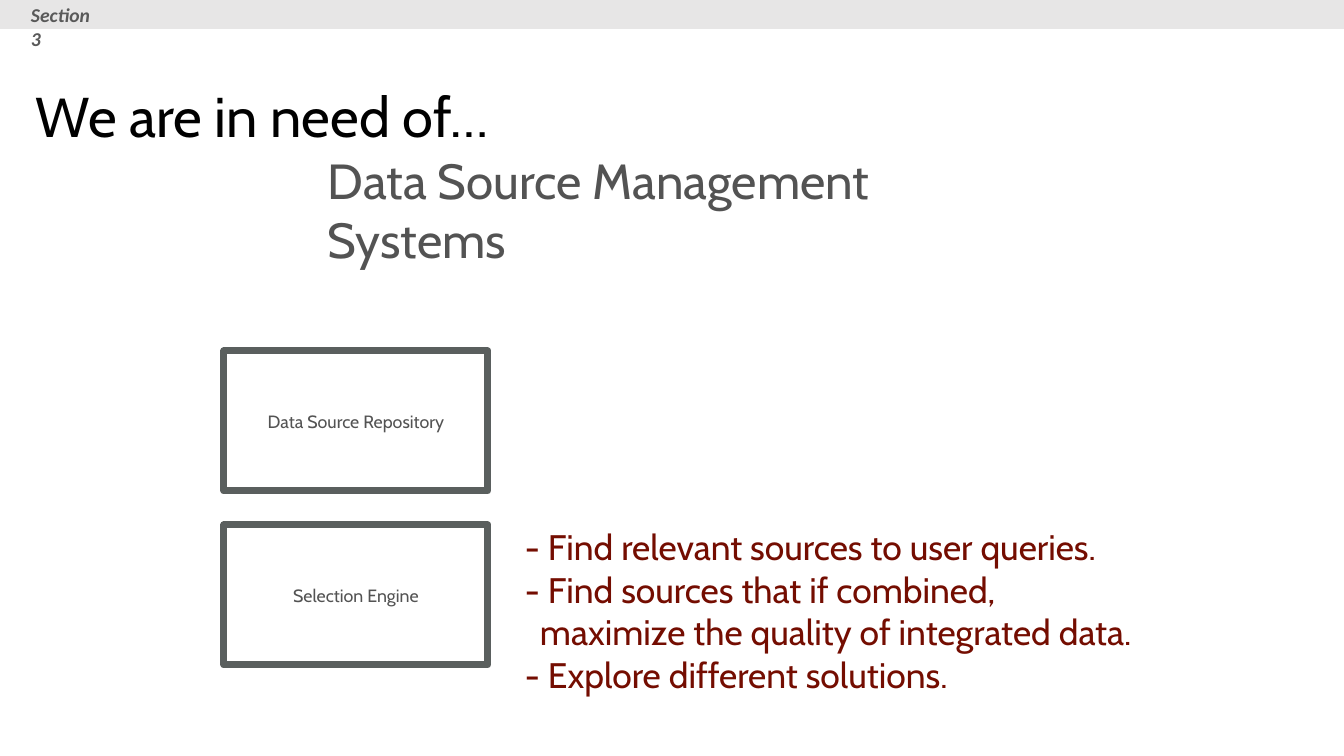
"""Build the slide on data source management systems."""
from lxml import etree
from pptx import Presentation
from pptx.dml.color import RGBColor
from pptx.enum import shapes, text
from pptx.oxml.ns import qn
from pptx.util import Pt

PX = 914400 / 100.8
BLACK = RGBColor(0, 0, 0)
WHITE = RGBColor(0xFF, 0xFF, 0xFF)
GRAY = RGBColor(0x53, 0x53, 0x53)
EDGE = RGBColor(0x5A, 0x5F, 0x5E)
BAR = RGBColor(0xE7, 0xE6, 0xE6)
LABEL = RGBColor(0x59, 0x59, 0x59)
RED = RGBColor(0x74, 0x0D, 0x01)

TITLE = "We are in need of…"
SYSTEM = "Data Source Management Systems"
PARTS = ["Data Source Repository", "Selection Engine"]
GOALS = [
    ("- Find relevant sources to user queries.", 0),
    ("- Find sources that if combined,", 0),
    ("maximize the quality of integrated data.", 15),
    ("- Explore different solutions.", 0),
]
SECTION = "Section 3"


def px(n):
    return round(n * PX)


def place(shape, *box):
    shape.left, shape.top, shape.width, shape.height = map(px, box)


def frame(shape, inset, anchor=text.MSO_ANCHOR.MIDDLE):
    tf = shape.text_frame
    tf.word_wrap = True
    tf.auto_size = text.MSO_AUTO_SIZE.NONE
    tf.vertical_anchor = anchor
    tf.margin_left = tf.margin_right = px(inset)
    tf.margin_top = tf.margin_bottom = px(min(inset, 5))
    return tf


def write(para, words, size, color, font="Cabin", align=text.PP_ALIGN.LEFT):
    para.alignment = align
    run = para.add_run()
    run.text = words
    run.font.name, run.font.size = font, Pt(size)
    run.font.color.rgb = color
    return run


def rect(slide, box, fill):
    shape = slide.shapes.add_shape(shapes.MSO_SHAPE.RECTANGLE, *map(px, box))
    shape.shadow.inherit = False
    shape.fill.solid()
    shape.fill.fore_color.rgb = fill
    shape.line.fill.background()
    return shape


def listing(body):
    place(body, 521, 521, 650, 179)
    tf = frame(body, 4)
    for i, (words, indent) in enumerate(GOALS):
        para = tf.add_paragraph() if i else tf.paragraphs[0]
        props = para._p.get_or_add_pPr()
        props.set("marL", str(px(indent)))
        props.set("indent", "0")
        etree.SubElement(props, qn("a:buNone"))
        para.space_before = Pt(0)
        write(para, words, 25.3, RED)


def main():
    deck = Presentation()
    deck.slide_width, deck.slide_height = px(1344), px(756)
    slide = deck.slides.add_slide(deck.slide_layouts[1])

    title = slide.shapes.title
    place(title, 36, 20, 1270, 190)
    write(frame(title, 0).paragraphs[0], TITLE, 40, BLACK)
    listing(slide.placeholders[1])

    system = slide.shapes.add_textbox(*map(px, (324, 175, 705, 68)))
    write(frame(system, 4).paragraphs[0], SYSTEM, 35.2, GRAY)

    for i, words in enumerate(PARTS):
        part = rect(slide, (224, 351 + 174 * i, 264, 140), WHITE)
        part.line.color.rgb = EDGE
        part.line.width = Pt(5)
        write(frame(part, 0).paragraphs[0], words, 12.7, GRAY,
              align=text.PP_ALIGN.CENTER)

    rect(slide, (0, 0, 1344, 29), BAR)
    label = slide.shapes.add_textbox(*map(px, (21, -2, 93, 34)))
    tf = frame(label, 10, text.MSO_ANCHOR.TOP)
    run = write(tf.paragraphs[0], SECTION, 14, LABEL, "Calibri")
    run.font.bold = run.font.italic = True
    deck.save("out.pptx")


if __name__ == "__main__":
    main()
